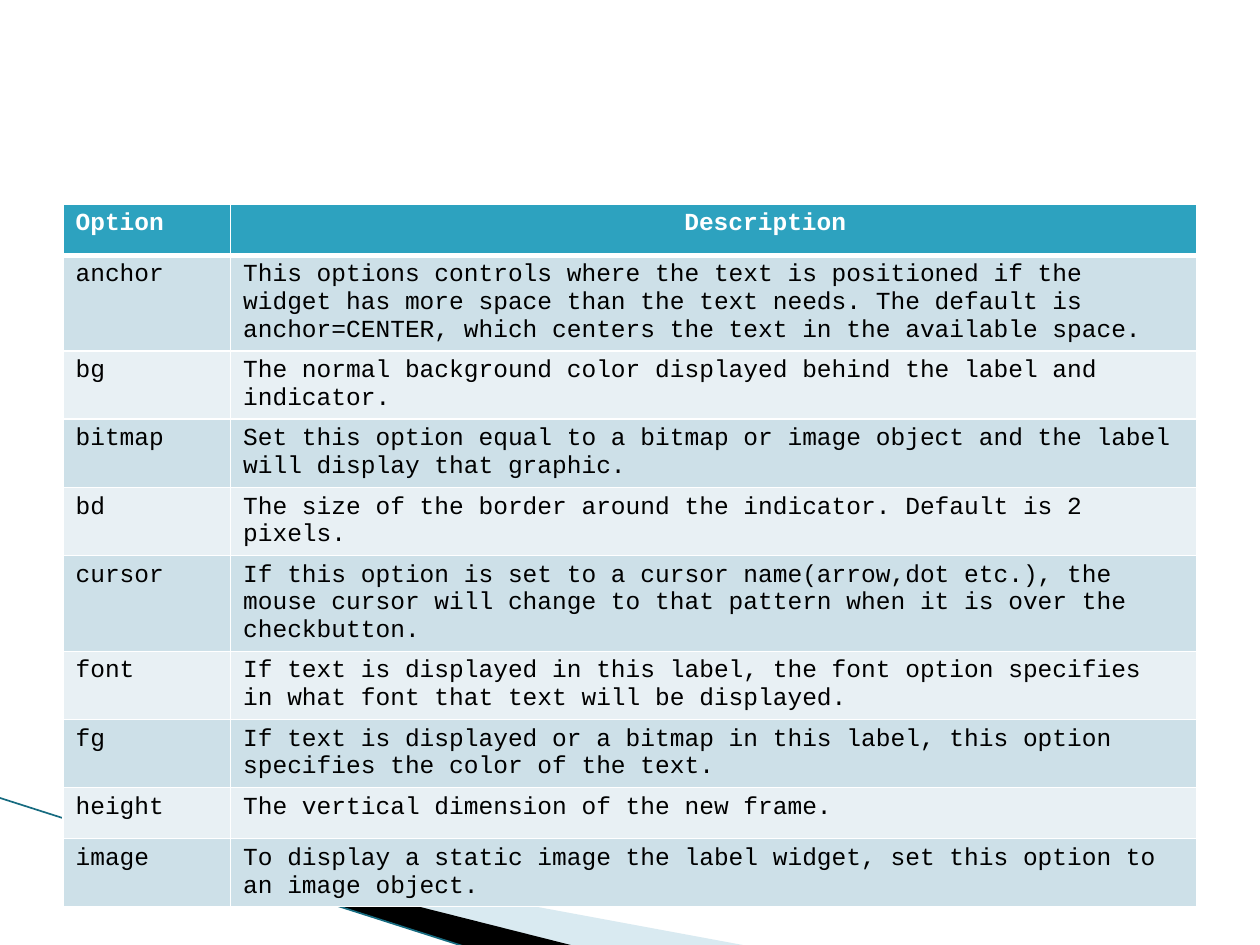
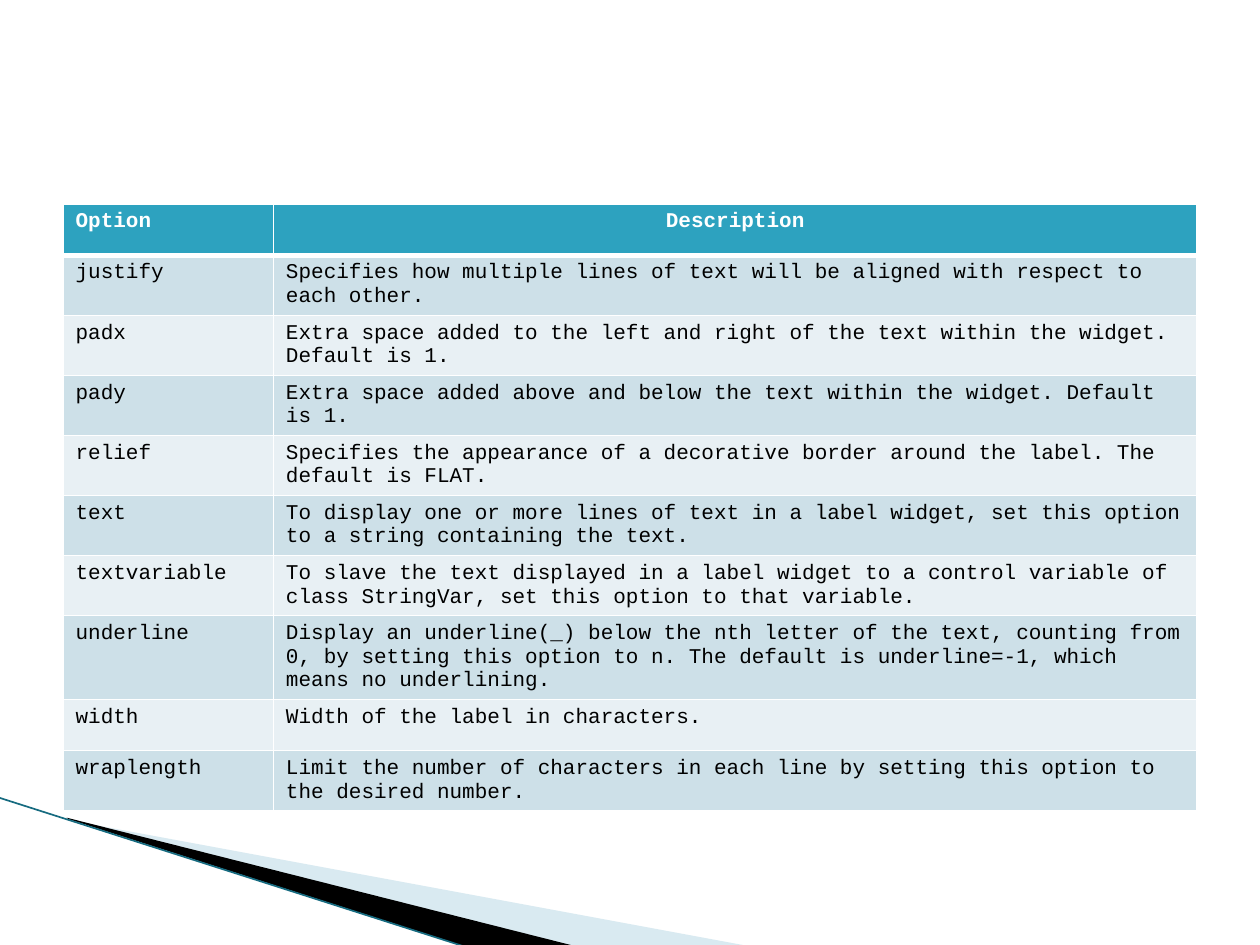
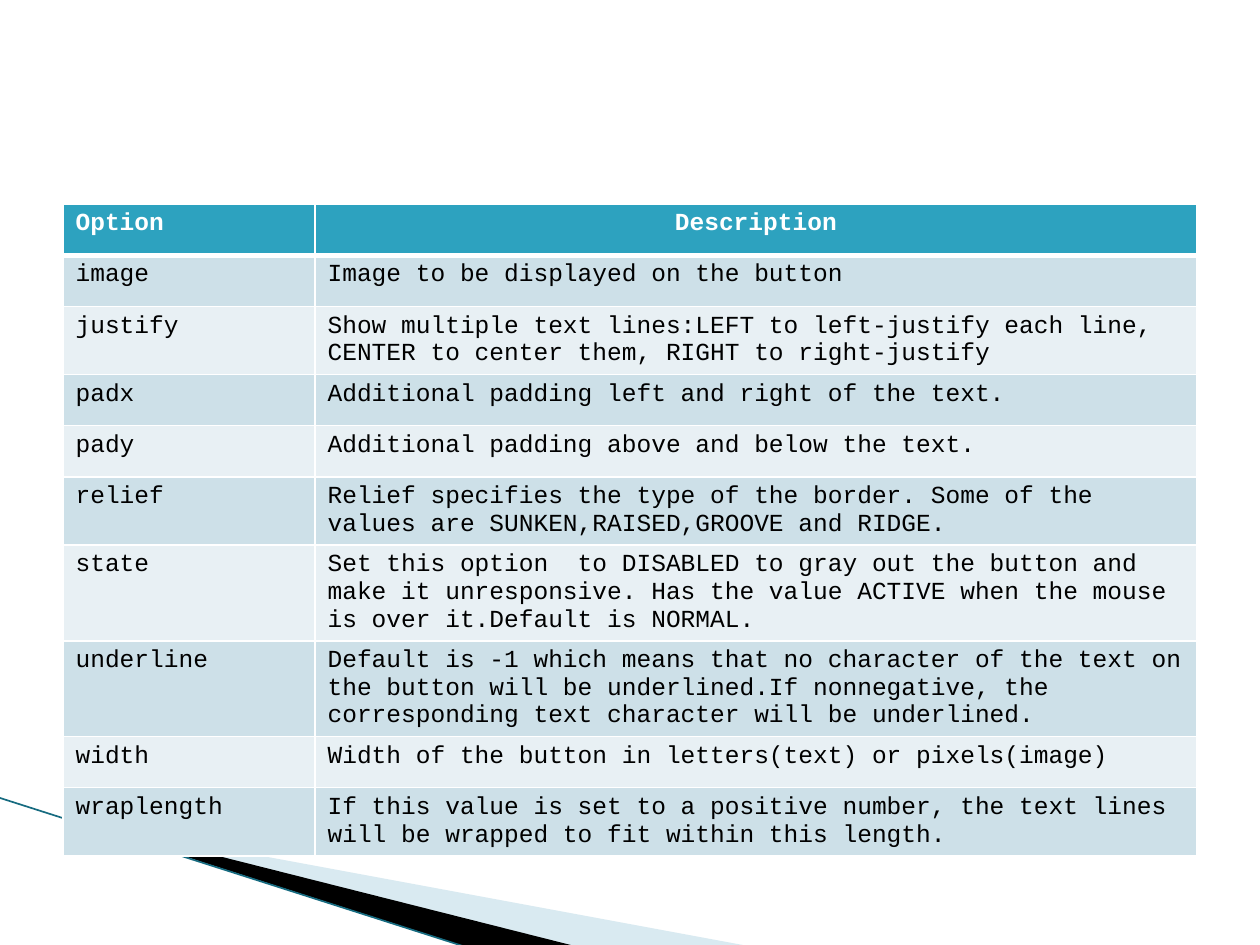
from typing import NamedTuple

from lxml import etree
from pptx import Presentation
from pptx.dml.color import RGBColor
from pptx.enum.shapes import MSO_CONNECTOR
from pptx.enum.text import PP_ALIGN
from pptx.oxml.ns import qn
from pptx.util import Inches, Pt

LEFT, CENTER = PP_ALIGN.LEFT, PP_ALIGN.CENTER
STRAIGHT = MSO_CONNECTOR.STRAIGHT

WHITE = RGBColor(0xFF, 0xFF, 0xFF)
BLACK = RGBColor(0x00, 0x00, 0x00)
HEADER_TEAL = RGBColor(0x2D, 0xA2, 0xBF)
ROW_BLUE = RGBColor(0xCD, 0xE0, 0xE8)
ROW_PALE = RGBColor(0xE8, 0xF0, 0xF4)
SWOOSH_BLUE = RGBColor(0xA0, 0xCB, 0xDC)
EDGE_TEAL = RGBColor(0x16, 0x6B, 0x80)

FONT = "Courier New"
TABLE_LEFT, TABLE_TOP = Inches(0.5), Inches(1.62)
TABLE_WIDTH, TABLE_HEIGHT = Inches(9), Inches(4.06)
CELL_MARGIN = Inches(0.1)
THIN, THICK = Pt(1), Pt(3)


class Swoosh(NamedTuple):
    frame: tuple[float, float, float, float]
    points: list[tuple[float, float]]
    color: RGBColor
    opacity: int


class OptionTable(NamedTuple):
    option_width: float
    text_size: int
    rows: list[tuple[str, str]]
    heading_indent: float = 0


SWOOSHES = [
    Swoosh((0.78, 5.47, 4.16, 1.58),
           [(0.55, 6.51), (5.95, 7.51), (4.56, 7.51), (0.55, 6.5)], SWOOSH_BLUE, 40),
    Swoosh((-0.06, 6.33, 4.16, 0.92),
           [(0.53, 6.49), (4.57, 7.51), (3.72, 7.52), (0.54, 6.5)], BLACK, 100),
]

OPTION_TABLES = [
    OptionTable(1.33, 14, [
        ("anchor", "This options controls where the text is positioned if the widget has more "
                   "space than the text needs. The default is anchor=CENTER, which centers the "
                   "text in the available space."),
        ("bg", "The normal background color displayed behind the label and indicator."),
        ("bitmap", "Set this option equal to a bitmap or image object and the label will "
                   "display that graphic."),
        ("bd", "The size of the border around the indicator. Default is 2 pixels."),
        ("cursor", "If this option is set to a cursor name(arrow,dot etc.), the mouse cursor "
                   "will change to that pattern when it is over the checkbutton."),
        ("font", "If text is displayed in this label, the font option specifies in what font "
                 "that text will be displayed."),
        ("fg", "If text is displayed or a bitmap in this label, this option specifies the "
               "color of the text."),
        ("height", "The vertical dimension of the new frame."),
        ("image", "To display a static image the label widget, set this option to an image "
                  "object."),
    ], heading_indent=0.82),
    OptionTable(1.67, 12, [
        ("justify", "Specifies how multiple lines of text will be aligned with respect to each "
                    "other."),
        ("padx", "Extra space added to the left and right of the text within the widget. "
                 "Default is 1."),
        ("pady", "Extra space added above and below the text within the widget. Default is 1."),
        ("relief", "Specifies the appearance of a decorative border around the label. The "
                   "default is FLAT."),
        ("text", "To display one or more lines of text in a label widget, set this option to a "
                 "string containing the text."),
        ("textvariable", "To slave the text displayed in a label widget to a control variable "
                         "of class StringVar, set this option to that variable."),
        ("underline", "Display an underline(_) below the nth letter of the text, counting from "
                      "0, by setting this option to n. The default is underline=-1, which "
                      "means no underlining."),
        ("width", "Width of the label in characters."),
        ("wraplength", "Limit the number of characters in each line by setting this option to "
                       "the desired number."),
    ]),
    OptionTable(2, 14, [
        ("image", "Image to be displayed on the button"),
        ("justify", "Show multiple text lines:LEFT to left-justify each line, CENTER to center "
                    "them, RIGHT to right-justify"),
        ("padx", "Additional padding left and right of the text."),
        ("pady", "Additional padding above and below the text."),
        ("relief", "Relief specifies the type of the border. Some of the values are "
                   "SUNKEN,RAISED,GROOVE and RIDGE."),
        ("state", "Set this option  to DISABLED to gray out the button and make it "
                  "unresponsive. Has the value ACTIVE when the mouse is over it.Default is "
                  "NORMAL."),
        ("underline", "Default is -1 which means that no character of the text on the button "
                      "will be underlined.If nonnegative, the corresponding text character "
                      "will be underlined."),
        ("width", "Width of the button in letters(text) or pixels(image)"),
        ("wraplength", "If this value is set to a positive number, the text lines will be "
                       "wrapped to fit within this length."),
    ]),
]


def set_frame(shape, frame: tuple[float, float, float, float]) -> None:
    """Give a freeform another frame while its outline stays in place."""
    left, top, width, height = map(Inches, frame)
    shift_x, shift_y = shape.left - left, shape.top - top
    outline = shape.element.spPr.find(".//" + qn("a:path"))
    outline.set("w", str(width))
    outline.set("h", str(height))
    for point in outline.iter(qn("a:pt")):
        point.set("x", str(int(point.get("x")) + shift_x))
        point.set("y", str(int(point.get("y")) + shift_y))
    shape.left, shape.top, shape.width, shape.height = left, top, width, height


def draw_swoosh(slide, swoosh: Swoosh) -> None:
    start, *rest = [(Inches(x), Inches(y)) for x, y in swoosh.points]
    builder = slide.shapes.build_freeform(*start)
    builder.add_line_segments(rest)
    shape = builder.convert_to_shape()
    set_frame(shape, swoosh.frame)
    shape.shadow.inherit = False
    shape.line.fill.background()
    shape.fill.solid()
    shape.fill.fore_color.rgb = swoosh.color
    if swoosh.opacity < 100:
        color = shape.element.spPr.find(".//" + qn("a:srgbClr"))
        etree.SubElement(color, qn("a:alpha"), val=str(swoosh.opacity * 1000))


def draw_corner(slide) -> None:
    """Draw the swooshes and their edge at the bottom left."""
    for swoosh in SWOOSHES:
        draw_swoosh(slide, swoosh)
    edge = slide.shapes.add_connector(
        STRAIGHT, Inches(-0.01), Inches(6.33), Inches(3.71), Inches(7.52))
    edge.line.color.rgb = EDGE_TEAL
    edge.line.width = Pt(0.95)
    etree.SubElement(edge.element.spPr, qn("a:effectLst"))


def write(frame, text: str, *, size: int, color: RGBColor, bold: bool, align) -> None:
    paragraph = frame.paragraphs[0]
    paragraph.alignment = align
    run = paragraph.add_run()
    run.text = text
    run.font.name = FONT
    run.font.size = Pt(size)
    run.font.bold = bold
    run.font.color.rgb = color


def set_borders(cell, bottom: int) -> None:
    properties = cell._tc.get_or_add_tcPr()
    for side, width in (("L", THIN), ("R", THIN), ("T", THIN), ("B", bottom)):
        border = etree.SubElement(properties, qn(f"a:ln{side}"), w=str(width))
        fill = etree.SubElement(border, qn("a:solidFill"))
        etree.SubElement(fill, qn("a:srgbClr"), val=str(WHITE))


def draw_table(slide, content: OptionTable) -> None:
    rows = [("Option", "Description"), *content.rows]
    table = slide.shapes.add_table(
        len(rows), 2, TABLE_LEFT, TABLE_TOP, TABLE_WIDTH, TABLE_HEIGHT).table
    table.horz_banding = False
    option_width = Inches(content.option_width)
    table.columns[0].width = option_width
    table.columns[1].width = TABLE_WIDTH - option_width

    for r, row in enumerate(rows):
        is_header = r == 0
        background = HEADER_TEAL if is_header else ROW_BLUE if r % 2 else ROW_PALE
        for c, text in enumerate(row):
            cell = table.cell(r, c)
            set_borders(cell, bottom=THICK if is_header else THIN)
            cell.fill.solid()
            cell.fill.fore_color.rgb = background
            write(cell.text_frame, text, size=content.text_size,
                  color=WHITE if is_header else BLACK, bold=is_header,
                  align=CENTER if is_header and c == 1 else LEFT)
    table.cell(0, 1).margin_left = CELL_MARGIN + Inches(content.heading_indent)


def main() -> None:
    deck = Presentation()
    deck.slide_width, deck.slide_height = Inches(10), Inches(7.5)
    blank_layout = deck.slide_layouts[6]
    for content in OPTION_TABLES:
        slide = deck.slides.add_slide(blank_layout)
        draw_corner(slide)
        draw_table(slide, content)
    deck.save("out.pptx")


if __name__ == "__main__":
    main()
